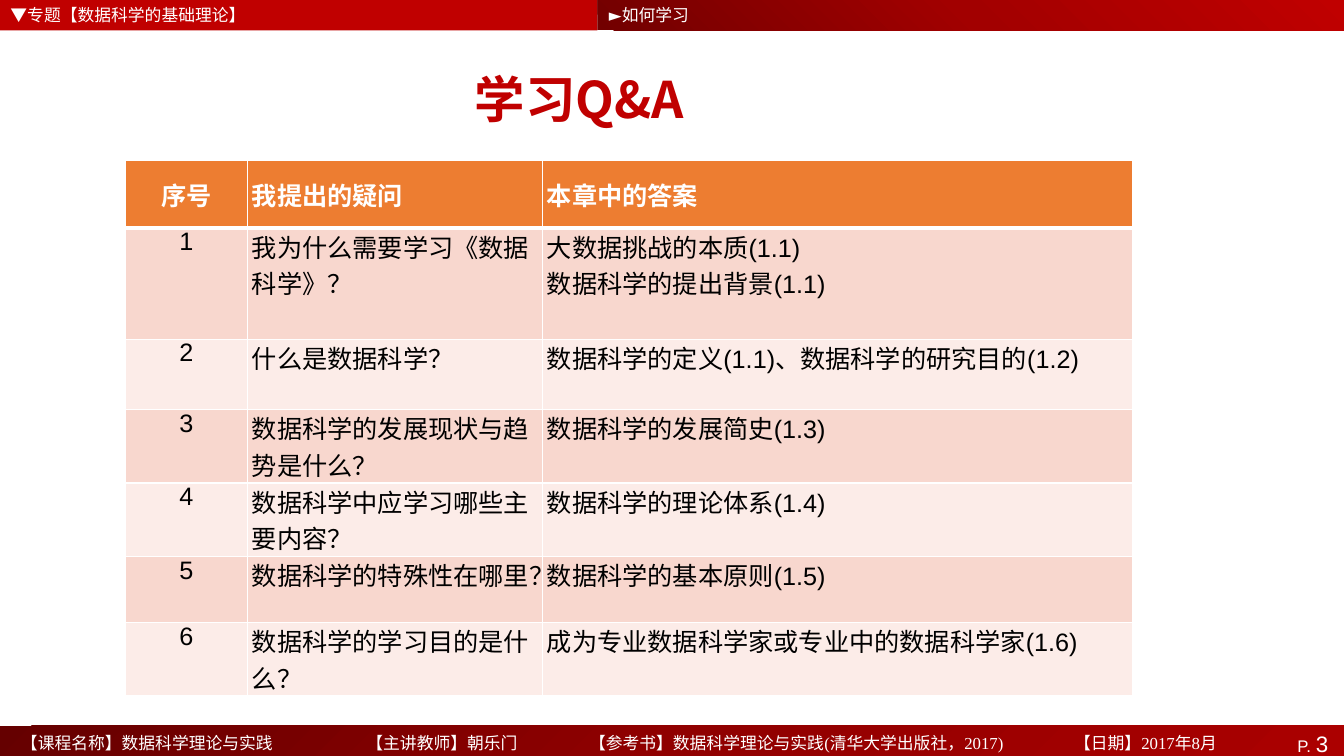
import copy
from dataclasses import dataclass

import pptx
import pptx.dml.color
import pptx.enum.shapes
import pptx.enum.text
import pptx.oxml
import pptx.oxml.ns
import pptx.shapes.autoshape
import pptx.slide
import pptx.table
import pptx.text.text
import pptx.util

EMU_PER_PX = 9525
Align = pptx.enum.text.PP_ALIGN
Anchor = pptx.enum.text.MSO_ANCHOR


@dataclass(frozen=True)
class Theme:
    red: str = "C00000"
    white: str = "FFFFFF"
    black: str = "000000"
    orange: str = "ED7D31"
    bands: tuple[str, str] = ("F8D7CE", "FCECE8")
    sans: str = "Arial"
    serif: str = "Times New Roman"
    chinese: str = "Noto Sans CJK SC"
    small: int = 12
    page: int = 16
    body: int = 18
    title: int = 36


@dataclass(frozen=True)
class Box:
    left: int
    top: int
    width: int
    height: int

    def emu(self) -> tuple[int, ...]:
        return tuple(px(n) for n in (self.left, self.top, self.width, self.height))


@dataclass(frozen=True)
class Bar:
    """A filled strip; several colours make an even gradient at a clockwise angle."""
    box: Box
    colors: tuple[str, ...]
    angle: int = 0


@dataclass(frozen=True)
class Label:
    box: Box
    text: str
    size: int
    font: str
    color: str = "FFFFFF"
    bold: bool = False
    align: Align = Align.LEFT
    tabs: tuple[int, ...] = ()


@dataclass(frozen=True)
class Question:
    question: str
    answer: str
    height: int = 70


THEME = Theme()

TOPIC_BAR = Bar(Box(0, 0, 569, 29), (THEME.red,))
FOOTER_BAR = Bar(Box(0, 691, 1280, 36), ("650000", "900000", "AB0000"), 45)
SECTION_BAR = Bar(Box(569, 0, 711, 29), ("720000", "A20000", "C00000"), 315)

LABELS = (
    Label(Box(20, 691, 1210, 33),
          "【课程名称】数据科学理论与实践\t【主讲教师】朝乐门\t"
          "【参考书】数据科学理论与实践(清华大学出版社，2017)\t【日期】2017年8月",
          THEME.small, THEME.serif, tabs=(329, 541, 1003)),
    Label(Box(28, 51, 1048, 86), "学习Q&A", THEME.title, THEME.chinese,
          THEME.red, True, Align.CENTER),
    Label(Box(10, 0, 454, 28), "▼专题【数据科学的基础理论】", THEME.small, THEME.sans),
    Label(Box(580, 0, 218, 28), "►如何学习", THEME.small, THEME.sans),
)

TABLE_BOX = Box(119, 153, 960, 510)
COLUMN_WIDTHS = (117, 281, 562)
HEADINGS = ("序号", "我提出的疑问", "本章中的答案")
HEADING_HEIGHT = 64
QUESTIONS = (
    Question("我为什么需要学习《数据科学》？", "大数据挑战的本质(1.1)\n数据科学的提出背景(1.1)", 106),
    Question("什么是数据科学？", "数据科学的定义(1.1)、数据科学的研究目的(1.2)", 67),
    Question("数据科学的发展现状与趋势是什么？", "数据科学的发展简史(1.3)"),
    Question("数据科学中应学习哪些主要内容？", "数据科学的理论体系(1.4)"),
    Question("数据科学的特殊性在哪里？", "数据科学的基本原则(1.5)", 63),
    Question("数据科学的学习目的是什么？", "成为专业数据科学家或专业中的数据科学家(1.6)"),
)


def px(length: int) -> int:
    return length * EMU_PER_PX


def rgb(color: str) -> pptx.dml.color.RGBColor:
    return pptx.dml.color.RGBColor.from_string(color)


def write_text(paragraph: pptx.text.text._Paragraph, text: str, *, size: int,
               font: str = THEME.sans, color: str = THEME.white,
               bold: bool = False, align: Align = Align.LEFT) -> None:
    """Append one formatted run to the paragraph."""
    paragraph.alignment = align
    run = paragraph.add_run()
    run.text = text
    run.font.size = pptx.util.Pt(size)
    run.font.bold = bold
    run.font.color.rgb = rgb(color)
    run.font.name = font
    east_asian = pptx.oxml.parse_xml(
        f'<a:ea {pptx.oxml.ns.nsdecls("a")} typeface="{THEME.chinese}"/>')
    run._r.get_or_add_rPr().append(east_asian)


def add_bar(slide: pptx.slide.Slide, bar: Bar) -> pptx.shapes.autoshape.Shape:
    strip = slide.shapes.add_shape(pptx.enum.shapes.MSO_SHAPE.RECTANGLE, *bar.box.emu())
    strip.shadow.inherit = False
    strip.line.fill.background()
    if len(bar.colors) == 1:
        strip.fill.solid()
        strip.fill.fore_color.rgb = rgb(bar.colors[0])
        return strip
    strip.fill.gradient()
    strip.fill.gradient_angle = 360 - bar.angle
    stop_list = strip.element.spPr.find(".//" + pptx.oxml.ns.qn("a:gsLst"))
    for _ in bar.colors[2:]:
        stop_list.append(copy.deepcopy(stop_list[-1]))
    for index, (stop, color) in enumerate(zip(strip.fill.gradient_stops, bar.colors)):
        stop.position = index / (len(bar.colors) - 1)
        stop.color.rgb = rgb(color)
    return strip


def add_page_number(bar: pptx.shapes.autoshape.Shape) -> None:
    frame = bar.text_frame
    frame.vertical_anchor = Anchor.TOP
    frame.margin_right = px(15)
    for text, size in (("P. ", THEME.small), ("3", THEME.page)):
        write_text(frame.paragraphs[0], text, size=size, align=Align.RIGHT)


def add_label(slide: pptx.slide.Slide, label: Label) -> None:
    frame = slide.shapes.add_textbox(*label.box.emu()).text_frame
    frame.word_wrap = True
    frame.vertical_anchor = Anchor.MIDDLE
    frame.margin_left = frame.margin_right = frame.margin_top = frame.margin_bottom = 0
    paragraph = frame.paragraphs[0]
    if label.tabs:
        stops = "".join(f'<a:tab pos="{px(tab)}" algn="l"/>' for tab in label.tabs)
        paragraph._p.get_or_add_pPr().append(pptx.oxml.parse_xml(
            f'<a:tabLst {pptx.oxml.ns.nsdecls("a")}>{stops}</a:tabLst>'))
    write_text(paragraph, label.text, size=label.size, font=label.font,
               color=label.color, bold=label.bold, align=label.align)


def add_borders(cell: pptx.table._Cell, row: int) -> None:
    """White rules, thicker between the heading and the first question."""
    weights = {"L": 1, "R": 1, "T": 3 if row == 1 else 1, "B": 3 if row == 0 else 1}
    for side, weight in weights.items():
        cell._tc.get_or_add_tcPr().append(pptx.oxml.parse_xml(
            f'<a:ln{side} {pptx.oxml.ns.nsdecls("a")} w="{pptx.util.Pt(weight)}">'
            f'<a:solidFill><a:srgbClr val="{THEME.white}"/></a:solidFill></a:ln{side}>'))


def fill_cell(cell: pptx.table._Cell, text: str, row: int, column: int) -> None:
    heading = row == 0
    add_borders(cell, row)
    cell.fill.solid()
    cell.fill.fore_color.rgb = rgb(THEME.orange if heading else THEME.bands[(row - 1) % 2])
    cell.margin_left = cell.margin_right = px(4)
    cell.margin_top = cell.margin_bottom = 0
    cell.vertical_anchor = Anchor.MIDDLE if heading else Anchor.TOP
    for index, line in enumerate(text.split("\n")):
        frame = cell.text_frame
        paragraph = frame.add_paragraph() if index else frame.paragraphs[0]
        write_text(paragraph, line, size=THEME.body, bold=heading,
                   color=THEME.white if heading else THEME.black,
                   align=Align.LEFT if column else Align.CENTER)


def add_questions(slide: pptx.slide.Slide) -> None:
    rows = [HEADINGS] + [(str(n), q.question, q.answer) for n, q in enumerate(QUESTIONS, 1)]
    heights = [HEADING_HEIGHT] + [q.height for q in QUESTIONS]
    table = slide.shapes.add_table(len(rows), len(HEADINGS), *TABLE_BOX.emu()).table
    for column, width in zip(table.columns, COLUMN_WIDTHS):
        column.width = px(width)
    for row, (texts, height) in enumerate(zip(rows, heights)):
        table.rows[row].height = px(height)
        for column, text in enumerate(texts):
            fill_cell(table.cell(row, column), text, row, column)


def main() -> None:
    deck = pptx.Presentation()
    deck.slide_width, deck.slide_height = px(1280), px(720)
    slide = deck.slides.add_slide(deck.slide_layouts[6])
    add_bar(slide, TOPIC_BAR)
    add_page_number(add_bar(slide, FOOTER_BAR))
    add_bar(slide, SECTION_BAR)
    for label in LABELS:
        add_label(slide, label)
    add_questions(slide)
    deck.save("out.pptx")


if __name__ == "__main__":
    main()
